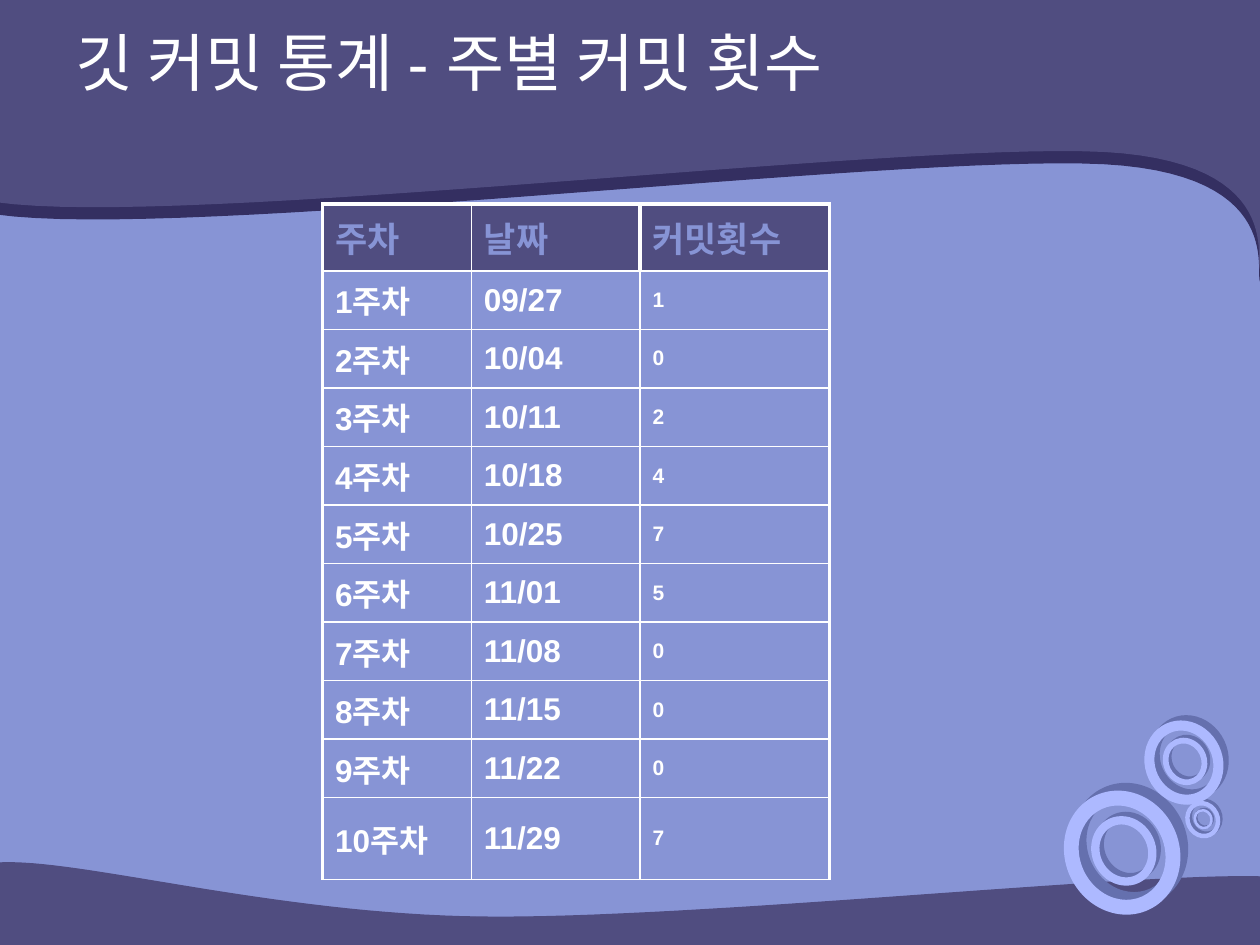
from dataclasses import dataclass

from lxml.etree import SubElement
from pptx import Presentation
from pptx.dml.color import RGBColor
from pptx.enum.shapes import MSO_SHAPE
from pptx.enum.text import MSO_ANCHOR, PP_ALIGN
from pptx.oxml import parse_xml
from pptx.oxml.ns import nsdecls, qn
from pptx.util import Cm, Pt

PERIWINKLE, INDIGO, WHITE = "8794D5", "504D80", "FFFFFF"
SHADOW, RING_FRONT, RING_SIDE = "342F61", "ADB9FF", "6570AE"
THICK, THIN = 2.25, 1

Point = tuple[float, float]


@dataclass(frozen=True)
class Wave:
    """A band with straight outer edges and one edge of Bezier curves, in cm."""
    corners: list[Point]
    curves: list[tuple[Point, Point, Point]]


@dataclass(frozen=True)
class Ring:
    """A ring given by centre and diameter, in cm."""
    x: float
    y: float
    diameter: float


HEADER_WAVE = Wave(
    [(-0.08, -0.1), (25.55, -0.13), (25.55, 5.38)],
    [((24.99, 5.92), (26.52, 3.28), (22.25, 3.05)),
     ((17.98, 2.84), (3.63, 4.6), (-0.1, 4.06))],
)
FOOTER_WAVE = Wave(
    [(25.4, 19.08), (-0.03, 19.13), (-0.05, 17.4)],
    [((1.57, 17.3), (5.49, 18.44), (9.73, 18.49)),
     ((13.97, 18.54), (22.81, 17.6), (25.43, 17.68))],
)
RINGS = [
    Ring(22.7, 17.11, 2.62), Ring(22.7, 17.11, 1.47),
    Ring(24.27, 16.5, 0.79), Ring(24.27, 16.5, 0.43),
    Ring(23.92, 15.32, 1.78), Ring(23.92, 15.32, 1),
]
HEADINGS = ("주차", "날짜", "커밋횟수")
COMMITS = [
    ("09/27", 1), ("10/04", 0), ("10/11", 2), ("10/18", 4), ("10/25", 7),
    ("11/01", 5), ("11/08", 0), ("11/15", 0), ("11/22", 0), ("11/29", 7),
]
COLUMN_WIDTHS = (3, 3.4, 3.82)
ROW_HEIGHTS = [1.35] + [1.18] * 9 + [1.65]
BODY_SIZES = (18, 18, 12)


def color(value: str) -> RGBColor:
    """Turn a hex string into a colour."""
    return RGBColor.from_string(value)


def curve_points(start: Point, curve: tuple, steps: int = 32) -> list[Point]:
    """Sample a cubic Bezier curve after its start point."""
    points = (start, *curve)
    sampled = []
    for step in range(1, steps + 1):
        t = step / steps
        weights = ((1 - t) ** 3, 3 * t * (1 - t) ** 2, 3 * t * t * (1 - t), t ** 3)
        sampled.append(tuple(
            sum(weight * point[axis] for weight, point in zip(weights, points))
            for axis in (0, 1)))
    return sampled


def add_wave(slide, wave: Wave):
    """Draw a wave as a closed indigo outline."""
    points = list(wave.corners)
    for curve in wave.curves:
        points += curve_points(points[-1], curve)
    first, *others = [(Cm(x), Cm(y)) for x, y in points]
    builder = slide.shapes.build_freeform(*first)
    builder.add_line_segments(others, close=True)
    shape = builder.convert_to_shape()
    shape.fill.solid()
    shape.fill.fore_color.rgb = color(INDIGO)
    shape.line.color.rgb = color(INDIGO)
    shape.line.width = Pt(0.75)
    shape.shadow.inherit = False
    return shape


def add_drop_shadow(shape, value: str, distance: float) -> None:
    """Give a shape a hard shadow straight below it."""
    effects = shape.element.spPr.find(qn("a:effectLst"))
    shadow = SubElement(effects, qn("a:outerShdw"), dist=str(Pt(distance)),
                        dir="5400000", algn="ctr", rotWithShape="0")
    SubElement(shadow, qn("a:srgbClr"), val=value)


def add_ring(slide, ring: Ring) -> None:
    """Draw a tilted ring with its darker side behind it."""
    width, height = ring.diameter * 0.88, ring.diameter * 0.97
    depth = ring.diameter * 0.03
    for offset, fill in ((depth, RING_SIDE), (-depth, RING_FRONT)):
        shape = slide.shapes.add_shape(
            MSO_SHAPE.DONUT, Cm(ring.x + offset - width / 2),
            Cm(ring.y - offset - height / 2), Cm(width), Cm(height))
        shape.adjustments[0] = 0.13
        shape.rotation = -25
        shape.fill.solid()
        shape.fill.fore_color.rgb = color(fill)
        shape.line.fill.background()
        shape.shadow.inherit = False


def add_run(paragraph, text: str, size: float, value: str, bold: bool) -> None:
    """Add one formatted run."""
    run = paragraph.add_run()
    run.text = text
    run.font.name = "Arial"
    run.font.size = Pt(size)
    run.font.bold = bold
    run.font.color.rgb = color(value)


def set_borders(cell, widths: dict[str, float]) -> None:
    """Put white borders on the sides of a cell."""
    properties = cell._tc.get_or_add_tcPr()
    for index, (side, width) in enumerate(widths.items()):
        properties.insert(index, parse_xml(
            f'<a:ln{side} {nsdecls("a")} w="{Pt(width)}"><a:solidFill>'
            f'<a:srgbClr val="{WHITE}"/></a:solidFill></a:ln{side}>'))


def format_cell(cell, text: str, row: int, column: int) -> None:
    """Fill in one table cell according to its place."""
    heading = row == 0
    last_column = len(COLUMN_WIDTHS) - 1
    size = 20 if heading else BODY_SIZES[column]
    cell.vertical_anchor = MSO_ANCHOR.MIDDLE
    if heading:
        cell.fill.solid()
        cell.fill.fore_color.rgb = color(INDIGO)
    else:
        cell.fill.background()
    set_borders(cell, {
        "L": THICK if column == 0 or (heading and column == last_column) else THIN,
        "R": THICK if column == last_column or (heading and column == 1) else THIN,
        "T": THICK if heading else THIN,
        "B": THIN,
    })
    paragraph = cell.text_frame.paragraphs[0]
    paragraph.space_before = Pt(size * 0.2)
    add_run(paragraph, text, size, PERIWINKLE if heading else WHITE, True)


def add_commit_table(slide) -> None:
    """Draw the table of commits per week."""
    rows = [HEADINGS] + [(f"{week}주차", date, str(count))
                         for week, (date, count) in enumerate(COMMITS, 1)]
    table = slide.shapes.add_table(
        len(rows), len(HEADINGS), Cm(6.5), Cm(4.11),
        Cm(sum(COLUMN_WIDTHS)), Cm(sum(ROW_HEIGHTS))).table
    table.first_row = table.horz_banding = False
    for column, width in zip(table.columns, COLUMN_WIDTHS):
        column.width = Cm(width)
    for row, height in zip(table.rows, ROW_HEIGHTS):
        row.height = Cm(height)
    for row, texts in enumerate(rows):
        for column, text in enumerate(texts):
            format_cell(table.cell(row, column), text, row, column)


def format_title(slide, text: str) -> None:
    """Place and fill the title."""
    title = slide.shapes.title
    title.left, title.top, title.width, title.height = Cm(1.27), Cm(0.53), Cm(22.53), Cm(1.4)
    title.text_frame.vertical_anchor = MSO_ANCHOR.MIDDLE
    paragraph = title.text_frame.paragraphs[0]
    paragraph.alignment = PP_ALIGN.LEFT
    add_run(paragraph, text, 36, WHITE, False)
    slide.shapes._spTree.append(title.element)


def main() -> None:
    """Build and save the slide."""
    presentation = Presentation()
    presentation.slide_width, presentation.slide_height = Cm(25.4), Cm(19.05)
    slide = presentation.slides.add_slide(presentation.slide_layouts[5])
    slide.background.fill.solid()
    slide.background.fill.fore_color.rgb = color(PERIWINKLE)
    add_wave(slide, FOOTER_WAVE)
    add_drop_shadow(add_wave(slide, HEADER_WAVE), SHADOW, 7)
    for ring in RINGS:
        add_ring(slide, ring)
    add_commit_table(slide)
    format_title(slide, "깃 커밋 통계 - 주별 커밋 횟수")
    presentation.save("out.pptx")


if __name__ == "__main__":
    main()
